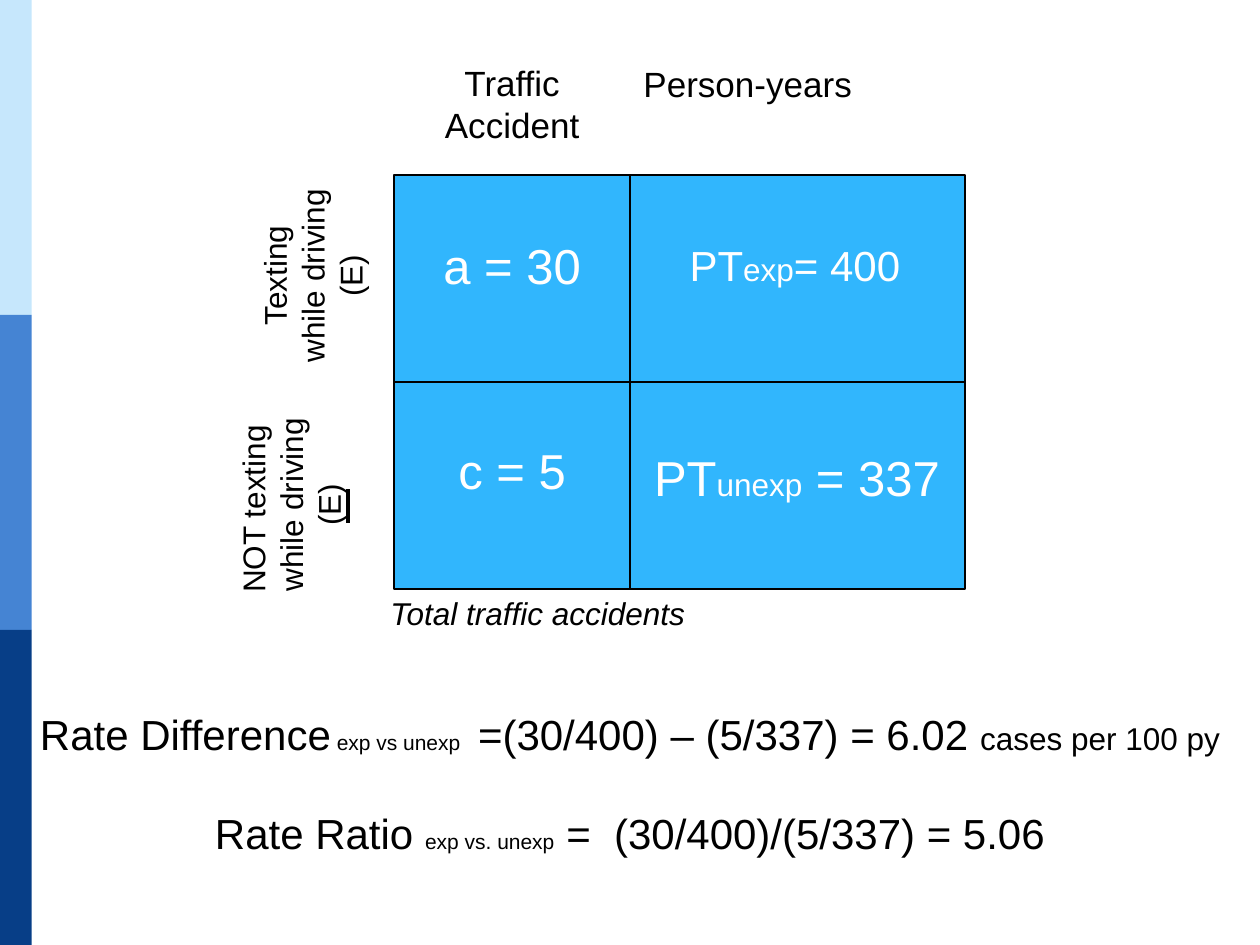
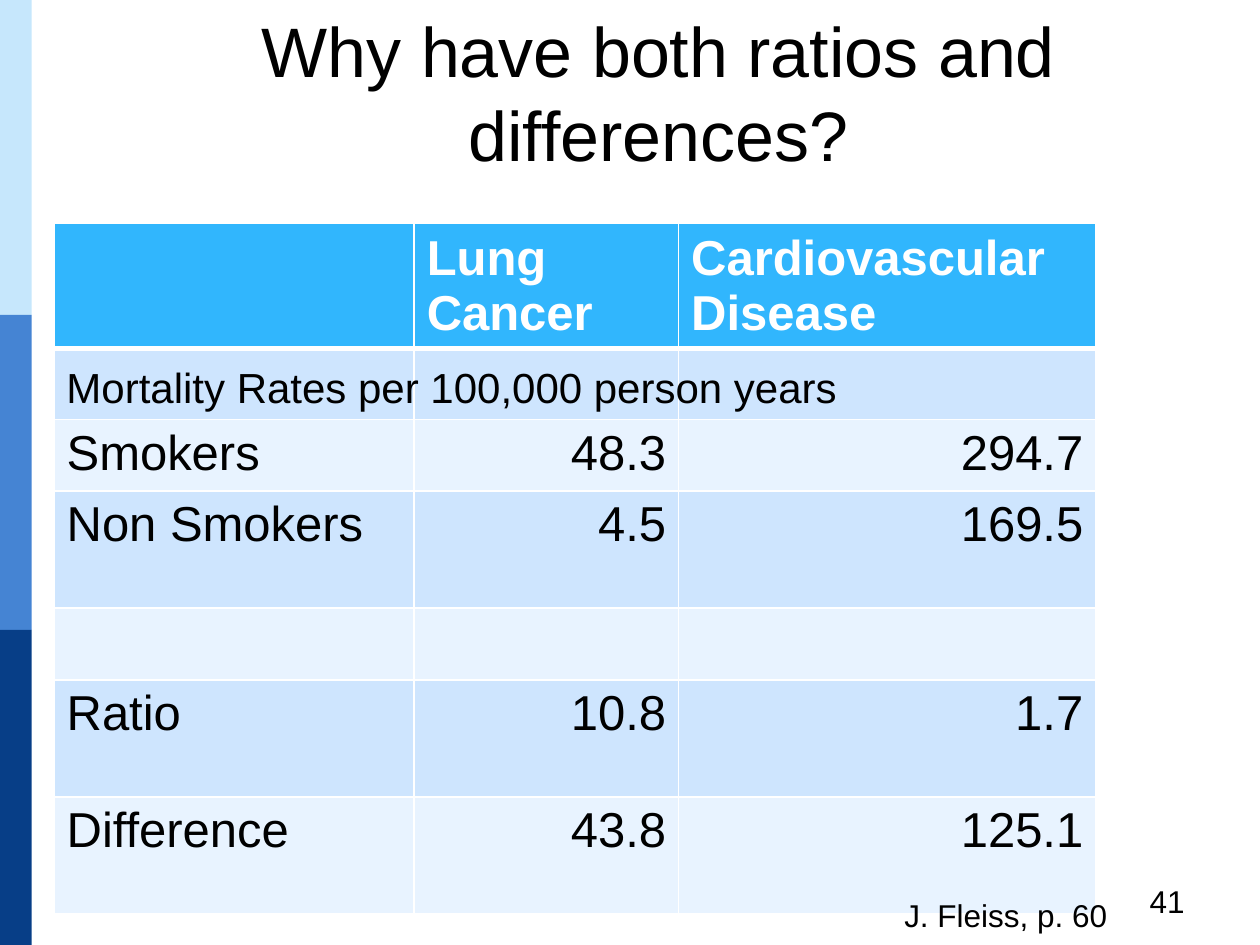
"""Build two slides on rate ratios and rate differences."""
from lxml import etree
from pptx import Presentation
from pptx import util as u
from pptx.dml import color as clr
from pptx.enum import shapes, text
from pptx.oxml import ns

COLORS = {"pale": "C6E7FC", "mid": "4584D3", "navy": "073E87", "sky": "31B6FD",
          "band": "CEE5FE", "light": "E8F3FF", "black": "000000", "white": "FFFFFF"}
FONT = "Arial"
LEFT, CENTER, RIGHT = text.PP_ALIGN.LEFT, text.PP_ALIGN.CENTER, text.PP_ALIGN.RIGHT
BANDS = ["pale", "mid", "navy"]

GRID = {"left": 7.95, "mid_x": 12.7, "right": 19.45, "top": 3.53, "mid_y": 7.7, "bottom": 11.88}
HEADINGS = [
    ((7.95, 1.12, 4.75, 1.96), ["Traffic", "Accident"]),
    ((12.7, 1.14, 4.75, 1.09), "Person-years"),
]
COUNTS = [
    ((7.95, 4.62, 4.75, 1.45), "a = 30"),
    ((13, 4.7, 6.05, 1.27), [[("PT", 24), ("exp", 18), ("= 400", 24)]]),
    ((7.95, 8.76, 4.75, 1.45), "c = 5"),
    ((12.7, 8.89, 6.73, 1.45), [[("PT", 28), ("unexp", 18), (" = 337", 28)]]),
]
EXPOSURES = [
    ((3.81, 4.27, 5, 2.57), ["Texting", "while driving", "(E)"]),
    ((3.4, 8.89, 4.95, 2.57), ["NOT texting ", "while driving", "(E)"]),
]
NOT_E_BAR = (7.01, 10.54, 7.01, 9.86)
RATES = [
    [("Rate Difference", 24), (" exp vs unexp ", 12),
     (" =(30/400) – (5/337) = 6.02 ", 24), ("cases per 100 py", 18)],
    [("Rate Ratio ", 24), ("exp vs. unexp", 12), (" =  (30/400)/(5/337) = 5.06", 24)],
]

COLS = [7.26, 5.33, 8.41]
ROWS = [
    (2.52, ["", "Lung Cancer", "Cardiovascular Disease"]),
    (1.44, ["", "", ""]),
    (1.44, ["Smokers", "48.3", "294.7"]),
    (2.36, ["Non Smokers", "4.5", "169.5"]),
    (1.45, ["", "", ""]),
    (2.36, ["Ratio", "10.8", "1.7"]),
    (2.36, ["Difference", "43.8", "125.1"]),
]


def rgb(name):
    return clr.RGBColor.from_string(COLORS[name])


def cm(values):
    return [u.Cm(v) for v in values]


def write(tf, content, size=18, color="black", align=LEFT, bold=False, italic=False, gap=0):
    for i, line in enumerate([content] if isinstance(content, str) else content):
        p = tf.add_paragraph() if i else tf.paragraphs[0]
        p.alignment = align
        p.space_before = u.Pt(gap if i else 0)
        for part, pt in [(line, size)] if isinstance(line, str) else line:
            r = p.add_run()
            r.text = part
            r.font.name, r.font.size = FONT, u.Pt(pt)
            r.font.bold, r.font.italic = bold, italic
            r.font.color.rgb = rgb(color)


def box(s, area, content, wrap=True, turn=0, **style):
    sp = s.shapes.add_textbox(*cm(area))
    sp.rotation = turn
    sp.text_frame.word_wrap = wrap
    write(sp.text_frame, content, **style)


def rect(s, area, fill, line=None):
    sp = s.shapes.add_shape(shapes.MSO_SHAPE.RECTANGLE, *cm(area))
    sp.shadow.inherit = False
    sp.fill.solid()
    sp.fill.fore_color.rgb = rgb(fill)
    if line:
        sp.line.color.rgb = rgb(line)
        sp.line.width = u.Pt(1)
    else:
        sp.line.fill.background()
    return sp


def rule(s, ends, width=1):
    c = s.shapes.add_connector(shapes.MSO_CONNECTOR.STRAIGHT, *cm(ends))
    c.line.color.rgb = rgb("black")
    c.line.width = u.Pt(width)
    etree.SubElement(c.element.spPr, ns.qn("a:effectLst"))


def border(cell, bottom):
    tc_pr = cell._tc.get_or_add_tcPr()
    for i, side in enumerate("LRTB"):
        ln = etree.Element(ns.qn(f"a:ln{side}"), w=str(u.Pt(bottom if side == "B" else 1)))
        fill = etree.SubElement(ln, ns.qn("a:solidFill"))
        etree.SubElement(fill, ns.qn("a:srgbClr"), val=COLORS["white"])
        tc_pr.insert(i, ln)


def add_bands(prs, s):
    for i, name in enumerate(BANDS):
        sp = rect(s, (0, 6.35 * i, 0.64, 6.35), name)
        sp.element.nvSpPr.cNvPr.id = 100 + i
        prs.slide_master.shapes.element.insert(2 + i, sp.element)


def rates_slide(s):
    g = GRID
    rect(s, (g["left"], g["top"], g["right"] - g["left"], g["bottom"] - g["top"]), "sky", "black")
    rule(s, (g["mid_x"], g["top"], g["mid_x"], g["bottom"]))
    rule(s, (g["left"], g["mid_y"], g["right"], g["mid_y"]))
    for area, label in HEADINGS:
        box(s, area, label, size=20, align=CENTER)
    for area, label in COUNTS:
        box(s, area, label, size=28, color="white", align=CENTER)
    for area, label in EXPOSURES:
        box(s, area, label, turn=270, align=CENTER)
    rule(s, NOT_E_BAR, 2.25)
    box(s, (7.62, 11.86, 6.5, 1.02), "Total traffic accidents", wrap=False, italic=True)
    box(s, (0.43, 14.15, 24.54, 3.33), RATES, wrap=False, align=CENTER, gap=28)


def mortality_table(s):
    heights = [h for h, _ in ROWS]
    area = cm((1.09, 4.5, sum(COLS), sum(heights)))
    t = s.shapes.add_table(len(ROWS), len(COLS), *area).table
    t.first_row = t.horz_banding = False
    for col, width in zip(t.columns, COLS):
        col.width = u.Cm(width)
    for i, (height, values) in enumerate(ROWS):
        t.rows[i].height = u.Cm(height)
        head = i == 0
        for j, value in enumerate(values):
            cell = t.cell(i, j)
            cell.fill.solid()
            cell.fill.fore_color.rgb = rgb("sky" if head else "band" if i % 2 else "light")
            border(cell, 3 if head else 1)
            if head:
                cell.vertical_anchor = text.MSO_ANCHOR.MIDDLE
            if value:
                write(cell.text_frame, value, size=28, bold=head,
                      color="white" if head else "black",
                      align=RIGHT if j and not head else LEFT)


def comparison_slide(s):
    title = s.shapes.title
    title.left, title.top, title.width, title.height = cm((1.27, 0, 24, 3.68))
    title.text_frame.auto_size = text.MSO_AUTO_SIZE.NONE
    title.text_frame.vertical_anchor = text.MSO_ANCHOR.MIDDLE
    write(title.text_frame, "Why have both ratios and differences?", size=40, align=CENTER)
    mortality_table(s)
    box(s, (1.09, 7.16, 16.92, 1.27), "Mortality Rates per 100,000 person years",
        wrap=False, size=24)
    box(s, (17.98, 17.93, 5.79, 1.02), "J. Fleiss, p. 60")
    box(s, (18.21, 17.65, 5.92, 1.02), "41", align=RIGHT)


def main():
    prs = Presentation()
    prs.slide_width, prs.slide_height = cm((25.4, 19.05))
    s = prs.slides.add_slide(prs.slide_layouts[6])
    add_bands(prs, s)
    rates_slide(s)
    comparison_slide(prs.slides.add_slide(prs.slide_layouts[5]))
    prs.save("out.pptx")


if __name__ == "__main__":
    main()
